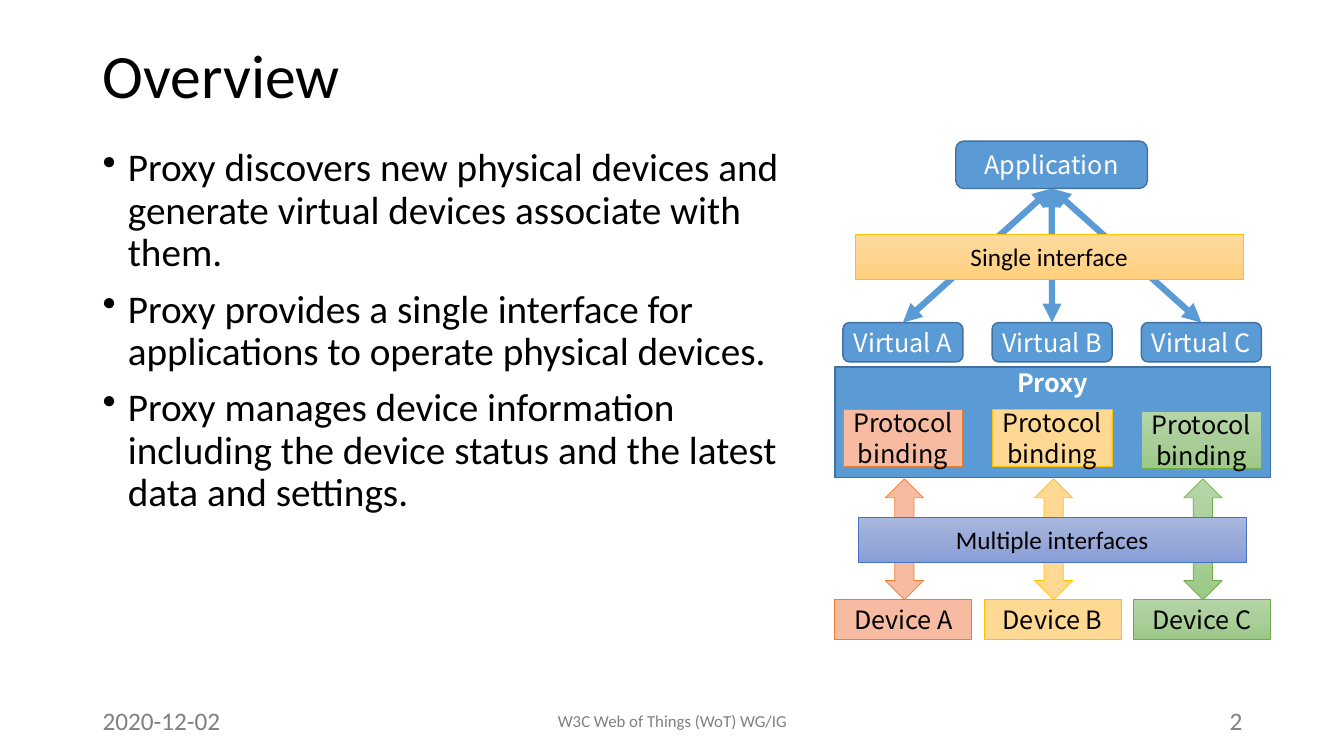
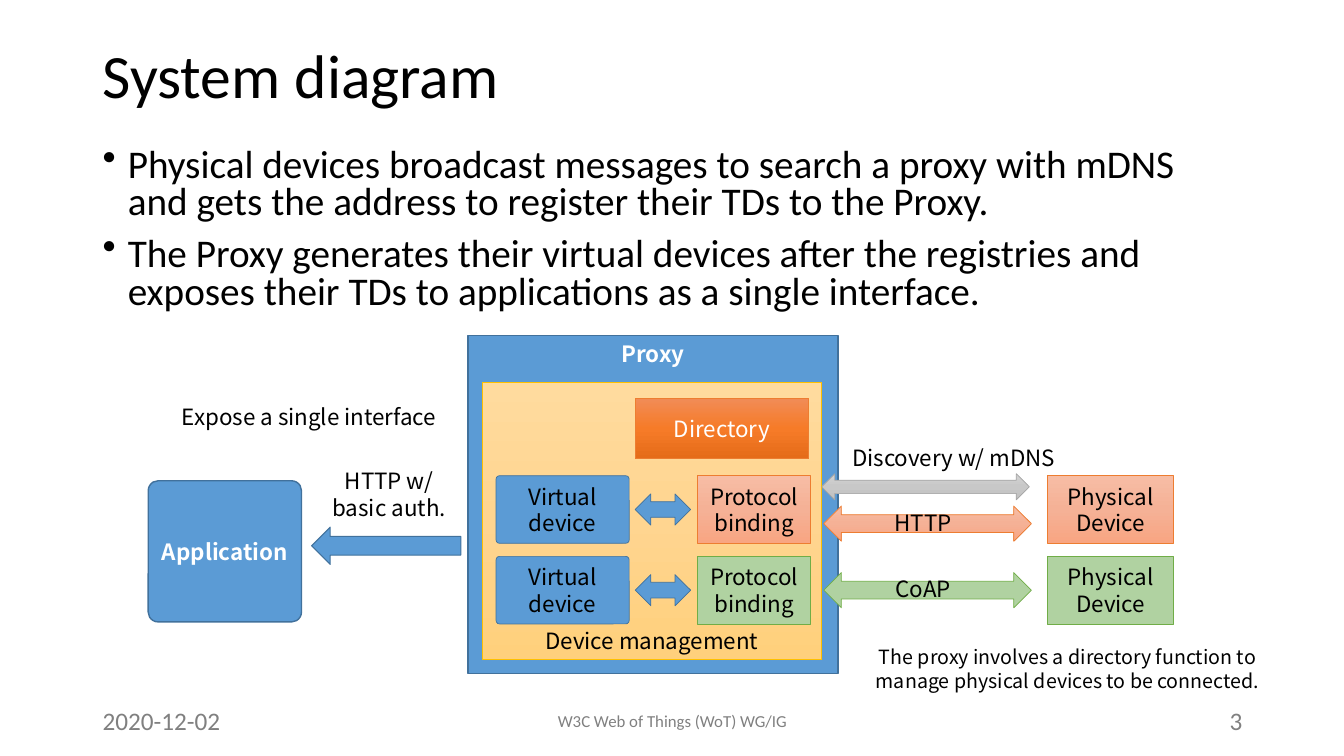
from copy import deepcopy
from dataclasses import dataclass
from typing import Any

from lxml.etree import SubElement
from pptx import Presentation
from pptx.dml.color import RGBColor
from pptx.enum.shapes import MSO_CONNECTOR, MSO_SHAPE
from pptx.enum.text import MSO_ANCHOR, MSO_AUTO_SIZE, PP_ALIGN
from pptx.oxml.ns import qn
from pptx.util import Inches, Pt

BODY_FONT = "Calibri"
DIAGRAM_FONT = "Noto Sans CJK JP"
COLOURS = {
    "black": "000000", "white": "FFFFFF", "footer": "808080",
    "blue": "5B9BD5", "blue edge": "41719C",
    "salmon": "F7BBA1", "orange edge": "ED7D31",
    "yellow": "FFD993", "gold edge": "FFC000",
    "green top": "B5D5A7", "green mid": "AACE9A", "green low": "9CC987",
    "green edge": "70AD47", "mint": "B0D2A1",
    "amber top": "FFDB9E", "amber mid": "FFD590", "amber low": "FFD07C",
    "violet top": "A8B7DF", "violet mid": "9AABD9", "violet low": "889ED7",
    "violet edge": "4472C4",
    "orange top": "F18C57", "orange mid": "F67B28", "orange low": "E56C19",
    "peach top": "F7BDA5", "peach mid": "F5B196", "peach low": "F8A582",
    "grey top": "D2D2D2", "grey mid": "C8C8C8", "grey low": "C0C0C0",
    "grey edge": "A5A5A5",
}
EDGES = {
    "blue": "blue edge", "salmon": "orange edge", "yellow": "gold edge",
    "green": "green edge", "mint": "green edge", "amber": "gold edge",
    "violet": "violet edge", "orange": "orange edge", "peach": "orange edge",
    "grey": "grey edge",
}
TIGHT = (0.04, 0.05, 0.04, 0.05)
NORMAL = (0.1, 0.05, 0.1, 0.05)


def rgb(name):
    return RGBColor.from_string(COLOURS[name])


def paint(shape, tone, edge_width):
    fill = shape.fill
    if tone in COLOURS:
        fill.solid()
        fill.fore_color.rgb = rgb(tone)
    else:
        fill.gradient()
        fill.gradient_angle = 270
        first_stop = next(shape._element.spPr.iter(qn("a:gs")))
        first_stop.addnext(deepcopy(first_stop))
        for stop, position, part in zip(fill.gradient_stops, (0, 0.5, 1), ("top", "mid", "low")):
            stop.position = position
            stop.color.rgb = rgb(f"{tone} {part}")
    shape.line.color.rgb = rgb(EDGES[tone])
    shape.line.width = Pt(edge_width)
    shape.shadow.inherit = False


def write(frame, texts, size, font=BODY_FONT, colour="black", bold=False,
          align=PP_ALIGN.LEFT, anchor=MSO_ANCHOR.TOP, insets=NORMAL,
          line_spacing=None, bullets=False):
    frame.word_wrap = True
    frame.vertical_anchor = anchor
    (frame.margin_left, frame.margin_top,
     frame.margin_right, frame.margin_bottom) = map(Inches, insets)
    for index, text in enumerate(texts):
        paragraph = frame.add_paragraph() if index else frame.paragraphs[0]
        paragraph.text = text
        paragraph.alignment = align
        if line_spacing:
            paragraph.line_spacing = line_spacing
        if bullets:
            paragraph.space_before = Pt(10)
            properties = paragraph._p.get_or_add_pPr()
            properties.set("marL", str(Inches(0.25)))
            properties.set("indent", str(Inches(-0.25)))
            SubElement(properties, qn("a:buChar")).set("char", "•")
        paragraph.font.name = font
        paragraph.font.size = Pt(size)
        paragraph.font.bold = bold
        paragraph.font.color.rgb = rgb(colour)


@dataclass
class Region:
    slide: Any
    left: float
    top: float
    size: int = 16

    def bounds(self, x, y, width, height):
        return [Inches(v) for v in (self.left + x, self.top + y, width, height)]

    def block(self, box, tone, text="", colour="black", kind=MSO_SHAPE.RECTANGLE,
              edge=0.5, corner=None, font=DIAGRAM_FONT, bold=False,
              anchor=MSO_ANCHOR.MIDDLE, insets=TIGHT):
        block = self.slide.shapes.add_shape(kind, *self.bounds(*box))
        paint(block, tone, edge)
        if corner is not None:
            block.adjustments[0] = corner
        if text:
            write(block.text_frame, [text], self.size, font, colour, bold,
                  PP_ALIGN.CENTER, anchor, insets)
        return block

    def caption(self, box, text, size=16, wrap=True):
        caption = self.slide.shapes.add_textbox(*self.bounds(*box))
        write(caption.text_frame, [text], size, DIAGRAM_FONT, align=PP_ALIGN.CENTER)
        caption.text_frame.word_wrap = wrap
        caption.text_frame.auto_size = MSO_AUTO_SIZE.SHAPE_TO_FIT_TEXT

    def double_arrow(self, lower, upper):
        arrow = self.slide.shapes.add_connector(MSO_CONNECTOR.STRAIGHT, 0, 0, 0, 0)
        arrow.begin_connect(lower, 0)
        arrow.end_connect(upper, 2)
        arrow.line.color.rgb = rgb("blue")
        arrow.line.width = Pt(4.5)
        outline = arrow.line._get_or_add_ln()
        for end in ("a:headEnd", "a:tailEnd"):
            SubElement(outline, qn(end)).set("type", "triangle")
        SubElement(arrow._element.spPr, qn("a:effectLst"))


def add_page(deck, number, title, points, body_size, line_spacing):
    slide = deck.slides.add_slide(deck.slide_layouts[6])

    def place(box, texts, size, **style):
        area = slide.shapes.add_textbox(*map(Inches, box))
        write(area.text_frame, texts, size, **style)

    place((0.92, 0.4, 11.5, 1.45), [title], 44, line_spacing=0.9)
    place((0.92, 1.42, *body_size), points, 28, line_spacing=line_spacing, bullets=True)
    place((0.92, 6.95, 3, 0.4), ["2020-12-02"], 18, colour="footer")
    place((4.42, 6.95, 4.5, 0.4), ["W3C Web of Things (WoT) WG/IG"], 12, colour="footer",
          align=PP_ALIGN.CENTER, anchor=MSO_ANCHOR.MIDDLE)
    place((9.42, 6.95, 3, 0.4), [str(number)], 18, colour="footer", align=PP_ALIGN.RIGHT)
    return slide


def add_layer_diagram(slide, left, top):
    region = Region(slide, left, top, 18)
    application = region.block((1.2, 0, 1.9, 0.47), "blue", "Application", "white",
                               MSO_SHAPE.ROUNDED_RECTANGLE, edge=1)
    region.block((0, 2.24, 4.32, 1.1), "blue", "Proxy", "white", edge=1, bold=True,
                 anchor=MSO_ANCHOR.TOP, insets=(0.04, 0, 0.04, 0.05))
    columns = (("A", "salmon", 2.66), ("B", "yellow", 2.66), ("C", "green", 2.68))
    for index, (letter, tone, binding_top) in enumerate(columns):
        x = index * 1.48
        region.block((x, 4.55, 1.36, 0.39), tone, f"Device {letter}")
        region.block((x + 0.5, 3.35, 0.38, 1.2), tone, kind=MSO_SHAPE.UP_DOWN_ARROW)
        region.block((x + 0.08, binding_top, 1.19, 0.57), tone, "Protocol binding")
        virtual = region.block((x + 0.08, 1.8, 1.19, 0.39), "blue", f"Virtual {letter}",
                               "white", MSO_SHAPE.ROUNDED_RECTANGLE, edge=1)
        region.double_arrow(virtual, application)
    region.block((0.2, 0.92, 3.85, 0.45), "amber", "Single interface", font=BODY_FONT)
    region.block((0.23, 3.73, 3.85, 0.45), "violet", "Multiple interfaces", font=BODY_FONT)


def add_proxy(slide, left, top):
    region = Region(slide, left, top)
    region.block((0, 0, 3.67, 3.35), "blue", "Proxy", "white", edge=1, bold=True,
                 anchor=MSO_ANCHOR.TOP, insets=NORMAL)
    region.block((0.14, 0.46, 3.37, 2.75), "amber", "Device management",
                 anchor=MSO_ANCHOR.BOTTOM, insets=NORMAL)
    region.block((1.66, 0.62, 1.72, 0.6), "orange", "Directory", "white")
    for row, tone in enumerate(("peach", "mint")):
        y = 1.39 + row * 0.8
        region.block((0.28, y, 1.32, 0.67), "blue", "Virtual device",
                     kind=MSO_SHAPE.ROUNDED_RECTANGLE, corner=0.05,
                     insets=(0.04, 0, 0.04, 0))
        region.block((1.66, y + 0.18, 0.55, 0.31), "blue", kind=MSO_SHAPE.LEFT_RIGHT_ARROW)
        region.block((2.28, y, 1.12, 0.67), tone, "Protocol binding")


def add_application(slide, left, top):
    region = Region(slide, left, top)
    region.block((0, 0.82, 1.52, 1.4), "blue", "Application", "white",
                 MSO_SHAPE.ROUNDED_RECTANGLE, edge=1, corner=0.07, bold=True,
                 insets=(0, 0.05, 0, 0.05))
    region.block((1.62, 1.28, 1.48, 0.37), "blue", kind=MSO_SHAPE.LEFT_ARROW, edge=0.75)
    region.caption((0.13, 0, 2.93, 0.37), "Expose a single interface", wrap=False)
    region.caption((1.67, 0.64, 1.44, 0.64), "HTTP w/ basic auth.")


def add_physical_devices(slide, left, top):
    region = Region(slide, left, top)
    rows = (("HTTP", "peach", 0.66), ("CoAP", "mint", 1.32))
    for index, (protocol, tone, arrow_top) in enumerate(rows):
        region.block((2.24, 0.36 + index * 0.8, 1.25, 0.67), tone, "Physical Device",
                     insets=(0.1, 0, 0.1, 0))
        region.block((0.02, arrow_top, 2.06, 0.35), tone, kind=MSO_SHAPE.LEFT_RIGHT_ARROW)
        region.caption((0.61, arrow_top - 0.02, 0.79, 0.37), protocol, wrap=False)
    region.block((0, 0.34, 2.06, 0.26), "grey", kind=MSO_SHAPE.LEFT_RIGHT_ARROW)
    region.caption((0.11, 0, 2.4, 0.37), "Discovery w/ mDNS", wrap=False)
    region.caption((0.15, 1.99, 4.58, 0.57), "The proxy involves a directory function to "
                   "manage physical devices to be connected.", size=14)


def main():
    deck = Presentation()
    deck.slide_width, deck.slide_height = Inches(13.33), Inches(7.5)

    overview = add_page(deck, 2, "Overview", [
        "Proxy discovers new physical devices and generate virtual devices associate with them.",
        "Proxy provides a single interface for applications to operate physical devices.",
        "Proxy manages device information including the device status and the latest data "
        "and settings.",
    ], (7.12, 4.79), 0.9)
    add_layer_diagram(overview, 8.28, 1.4)

    system = add_page(deck, 3, "System diagram", [
        "Physical devices broadcast messages to search a proxy with mDNS and gets the address "
        "to register their TDs to the Proxy.",
        "The Proxy generates their virtual devices after the registries and exposes their TDs "
        "to applications as a single interface.",
    ], (11.5, 1.87), 0.8)
    add_proxy(system, 4.64, 3.33)
    add_application(system, 1.47, 3.95)
    add_physical_devices(system, 8.15, 4.36)

    deck.save("out.pptx")


if __name__ == "__main__":
    main()
